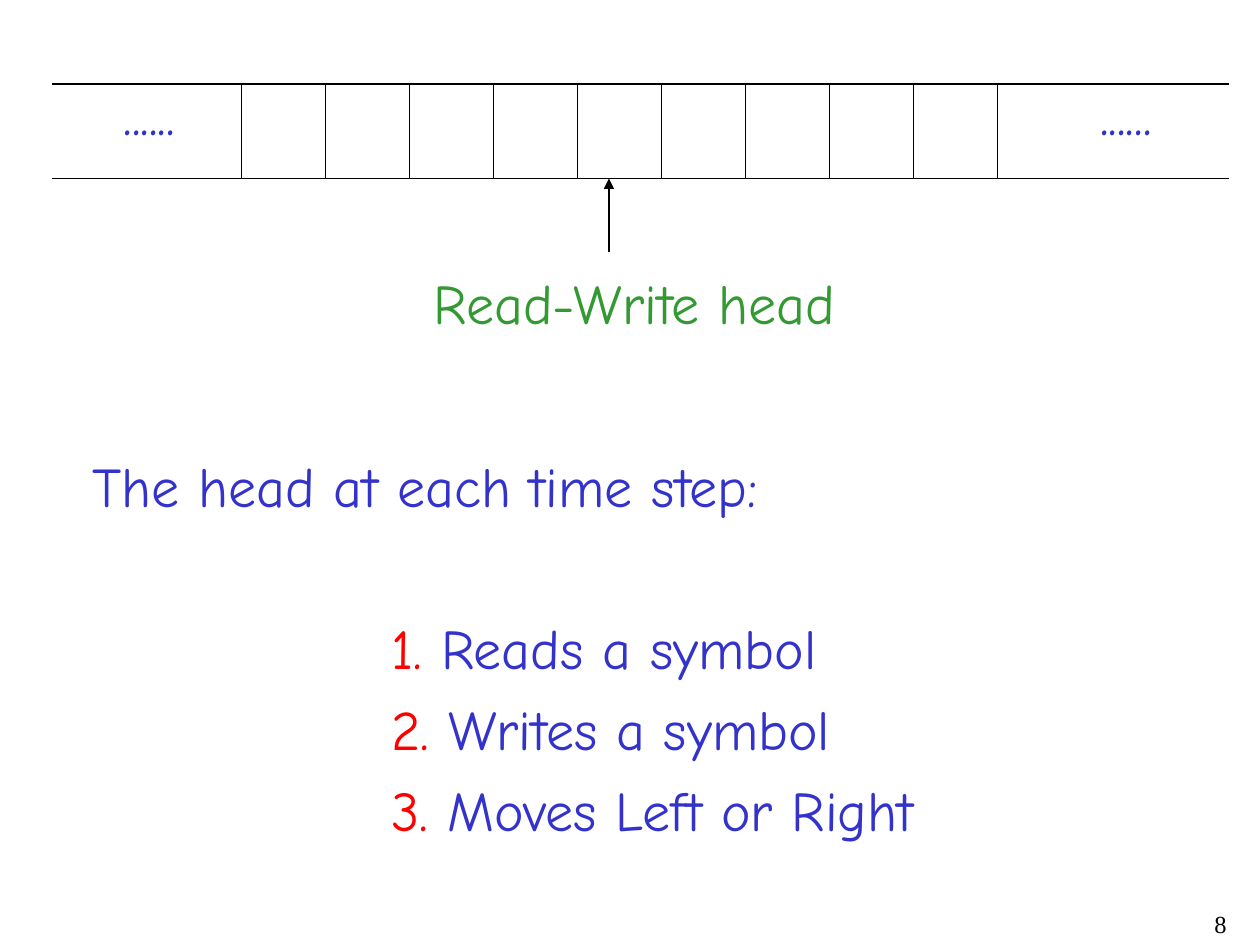
from dataclasses import dataclass

from lxml.etree import SubElement
from pptx import Presentation
from pptx.dml.color import RGBColor
from pptx.enum.shapes import MSO_CONNECTOR
from pptx.enum.text import MSO_AUTO_SIZE, PP_ALIGN
from pptx.oxml.ns import qn
from pptx.slide import Slide
from pptx.util import Emu, Pt

EMU_PER_PX = 7620  # 120 px to the inch


@dataclass(frozen=True)
class Theme:
    body_font: str = "Comic Neue"
    number_font: str = "Times New Roman"
    blue: str = "3333CC"
    green: str = "339933"
    red: str = "FF0000"
    black: str = "000000"
    body_size: int = 32
    number_size: int = 14
    line_width: float = 0.75
    paragraph_gap: int = 8
    list_gap: int = 54


THEME = Theme()


@dataclass(frozen=True)
class Segment:
    start: tuple[int, int]
    end: tuple[int, int]
    arrow: bool = False


@dataclass(frozen=True)
class Span:
    text: str
    color: str
    font: str = THEME.body_font
    size: int = THEME.body_size


@dataclass(frozen=True)
class Line:
    spans: tuple[Span, ...]
    gap: int = THEME.paragraph_gap
    indent: int = 0
    align: PP_ALIGN = PP_ALIGN.LEFT


@dataclass(frozen=True)
class TextBlock:
    box: tuple[int, int, int, int]
    lines: tuple[Line, ...]
    wrap: bool = False


def px(length: int) -> Emu:
    return Emu(length * EMU_PER_PX)


def draw_segment(slide: Slide, segment: Segment) -> None:
    ends = [px(value) for value in segment.start + segment.end]
    connector = slide.shapes.add_connector(MSO_CONNECTOR.STRAIGHT, *ends)
    connector.line.color.rgb = RGBColor.from_string(THEME.black)
    connector.line.width = Pt(THEME.line_width)
    if segment.arrow:
        SubElement(connector.line._get_or_add_ln(), qn("a:tailEnd"), type="triangle")
    SubElement(connector._element.spPr, qn("a:effectLst"))


def draw_text(slide: Slide, block: TextBlock) -> None:
    frame = slide.shapes.add_textbox(*(px(value) for value in block.box)).text_frame
    frame.word_wrap = block.wrap
    frame.auto_size = MSO_AUTO_SIZE.NONE if block.wrap else MSO_AUTO_SIZE.SHAPE_TO_FIT_TEXT
    for index, line in enumerate(block.lines):
        paragraph = frame.add_paragraph() if index else frame.paragraphs[0]
        paragraph.alignment = line.align
        paragraph.space_before = Pt(line.gap)
        if line.indent:
            properties = paragraph._p.get_or_add_pPr()
            properties.set("marL", str(px(line.indent)))
            properties.set("indent", "0")
        for span in line.spans:
            run = paragraph.add_run()
            run.text = span.text
            run.font.name = span.font
            run.font.size = Pt(span.size)
            run.font.color.rgb = RGBColor.from_string(span.color)


# Tape: two rails and the walls between its cells
TAPE_LEFT, TAPE_RIGHT, TAPE_TOP, TAPE_BOTTOM = 50, 1170, 80, 170
FIRST_WALL, CELL_WIDTH, WALL_COUNT = 230, 80, 10
rails = [Segment((TAPE_LEFT, y), (TAPE_RIGHT, y)) for y in (TAPE_TOP, TAPE_BOTTOM)]
walls = [
    Segment((x, TAPE_TOP), (x, TAPE_BOTTOM))
    for x in range(FIRST_WALL, FIRST_WALL + WALL_COUNT * CELL_WIDTH, CELL_WIDTH)
]
head_pointer = Segment((580, 240), (580, TAPE_BOTTOM), arrow=True)

# Labels on the tape and below it
ellipses = [
    TextBlock((x, 70, 73, 77), (Line((Span("......", THEME.blue),)),))
    for x in (1036, 106)
]
head_label = TextBlock((401, 250, 410, 77), (Line((Span("Read-Write head", THEME.green),)),))

# What the head does in one step
actions = ("Reads a symbol", "Writes a symbol", "Moves Left or Right")
action_lines = tuple(
    Line(
        (Span(f"{number}.", THEME.red), Span(f" {action}", THEME.blue)),
        gap=THEME.list_gap if number == 1 else THEME.paragraph_gap,
        indent=285,
    )
    for number, action in enumerate(actions, start=1)
)
step_text = TextBlock(
    (76, 424, 815, 385),
    (Line((Span("The head at each time step:", THEME.blue),)), *action_lines),
    wrap=True,
)

# Slide number
number_span = Span("8", THEME.black, THEME.number_font, THEME.number_size)
slide_number = TextBlock(
    (930, 860, 250, 40), (Line((number_span,), gap=0, align=PP_ALIGN.RIGHT),), wrap=True
)


def main() -> None:
    presentation = Presentation()
    presentation.slide_width, presentation.slide_height = px(1200), px(900)
    slide = presentation.slides.add_slide(presentation.slide_layouts[6])
    for segment in (*rails, *walls, head_pointer):
        draw_segment(slide, segment)
    for block in (*ellipses, head_label, step_text, slide_number):
        draw_text(slide, block)
    presentation.save("out.pptx")


if __name__ == "__main__":
    main()
